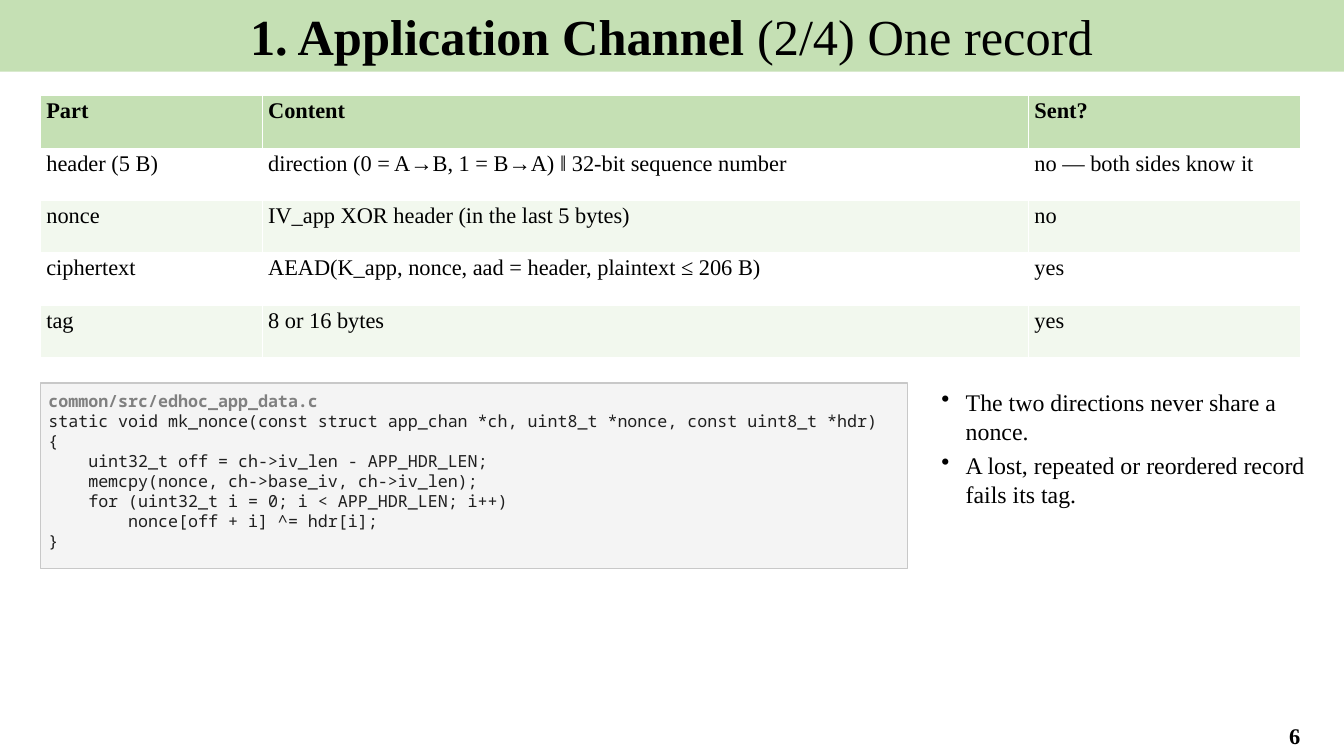
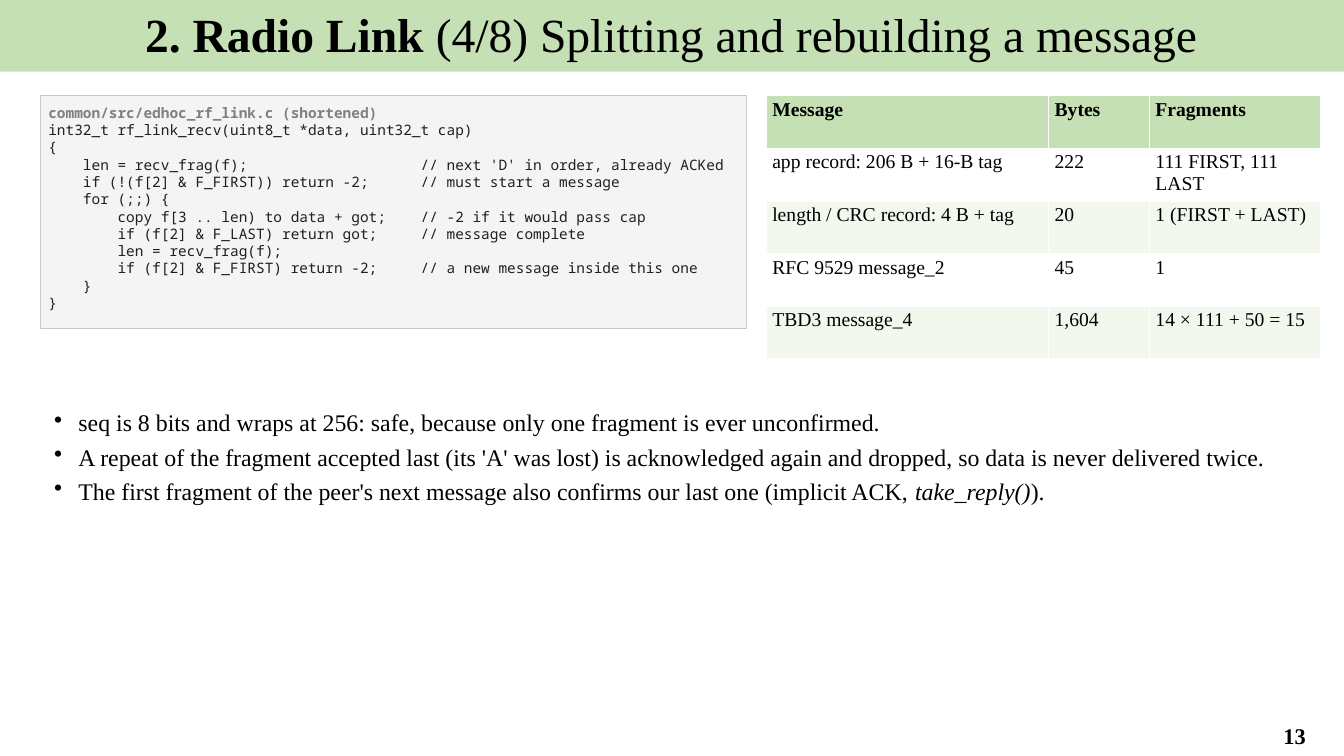
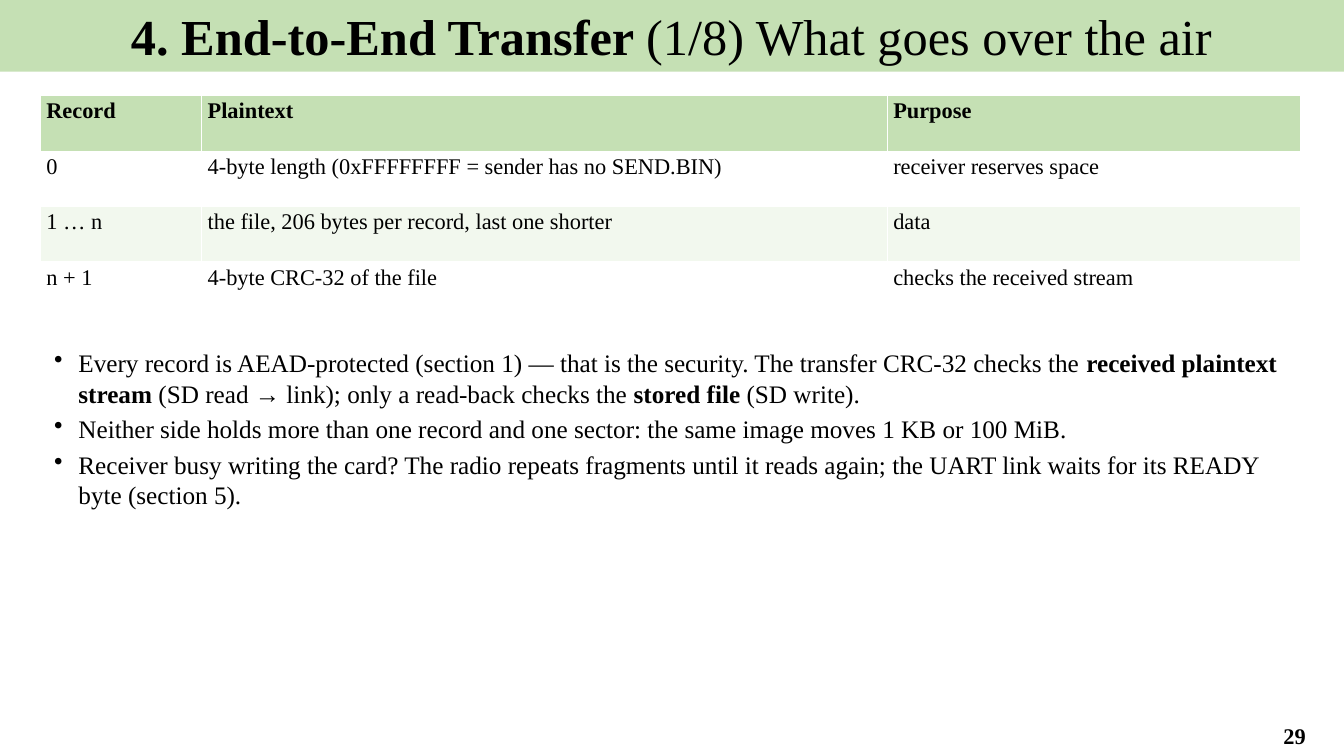
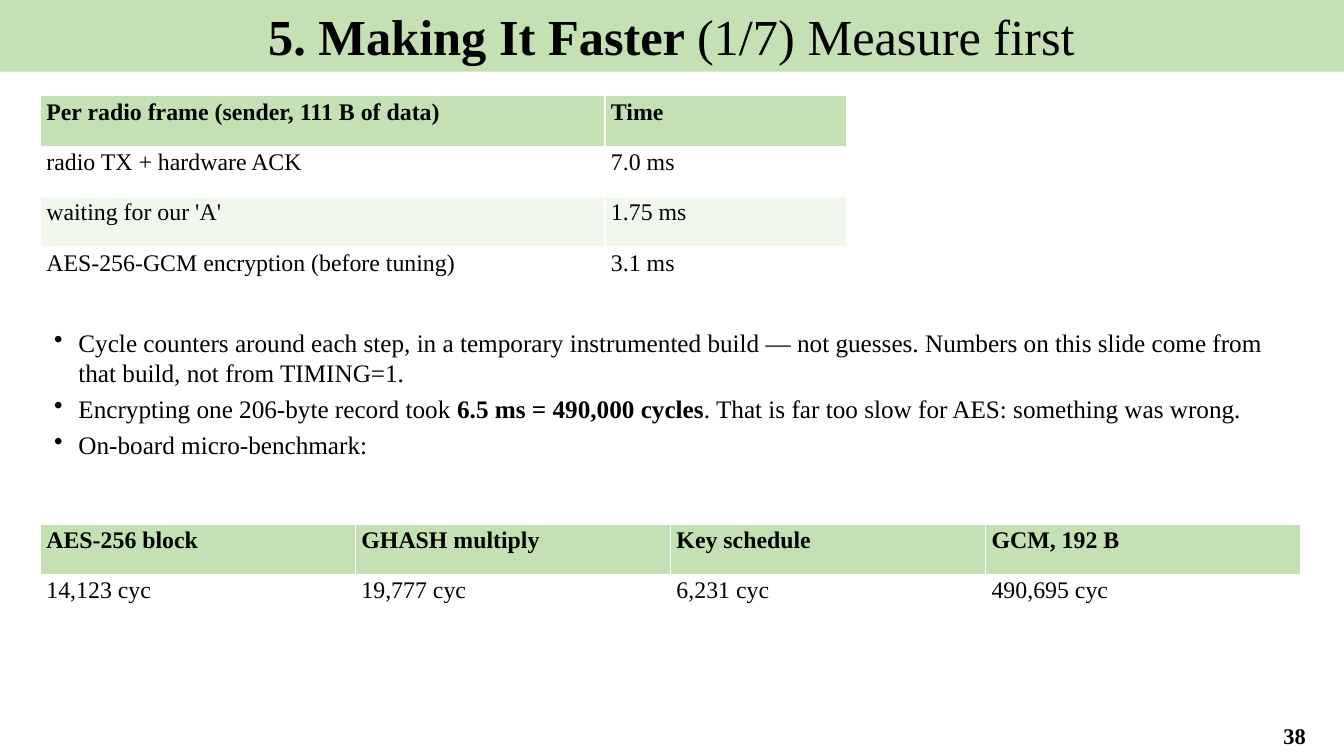
from pptx import Presentation
from pptx.dml.color import RGBColor
from pptx.enum.shapes import MSO_SHAPE
from pptx.enum.text import MSO_ANCHOR, MSO_AUTO_SIZE, PP_ALIGN
from pptx.oxml.ns import qn
from pptx.util import Emu, Pt
from lxml.etree import SubElement

SERIF = "Times New Roman"
MONO = "Noto Sans Mono"
BLACK = "000000"
WHITE = "FFFFFF"
GREEN = "C5E0B4"
PALE_GREEN = "F2F8EE"
CODE_FILL = "F4F4F4"
CODE_LINE = "C8C8C8"
CODE_TEXT = "1F1F1F"
CODE_NAME = "808080"

LEFT = 40
TOP = 95
WIDTH = 1250


def px(value):
    return Emu(round(value * 9144))


def color(value):
    return RGBColor.from_string(value)


def paint(item, value):
    item.fill.solid()
    item.fill.fore_color.rgb = color(value)


def style_font(font, size, bold=False, name=SERIF, value=BLACK):
    font.name = name
    font.size = Pt(size)
    font.bold = bold
    font.color.rgb = color(value)


def set_margins(item, side, end):
    item.margin_left = item.margin_right = px(side)
    item.margin_top = item.margin_bottom = px(end)


def add_spans(para, spans, size):
    for text, style in spans:
        span = para.add_run()
        span.text = text
        style_font(span.font, size, style == "bold")
        if style == "italic":
            span.font.italic = True


def add_text_box(page, left, top, width, height):
    box = page.shapes.add_textbox(px(left), px(top), px(width), px(height))
    frame = box.text_frame
    frame.word_wrap = True
    set_margins(frame, 10, 5)
    return frame


def add_page(deck, section, topic, number, size=36):
    page = deck.slides.add_slide(deck.slide_layouts[5])
    title = page.shapes.title
    title.left, title.top, title.width, title.height = px(-1), px(0), px(1334), px(71)
    paint(title, GREEN)
    frame = title.text_frame
    frame.word_wrap = True
    frame.auto_size = MSO_AUTO_SIZE.NONE
    frame.vertical_anchor = MSO_ANCHOR.TOP
    set_margins(frame, 10, 5)
    para = frame.paragraphs[0]
    para.alignment = PP_ALIGN.CENTER
    add_spans(para, [(section + " ", "bold"), (topic, "")], size)

    frame = add_text_box(page, 1235, 710, 98, 39)
    frame.vertical_anchor = MSO_ANCHOR.MIDDLE
    para = frame.paragraphs[0]
    para.alignment = PP_ALIGN.CENTER
    add_spans(para, [(str(number), "bold")], 16)
    return page


def add_grid(page, left, top, widths, row_height, size, rows):
    table = page.shapes.add_table(
        len(rows), len(widths), px(left), px(top), px(sum(widths)), px(row_height * len(rows))
    ).table
    for column, width in zip(table.columns, widths):
        column.width = px(width)
    for row_index, texts in enumerate(rows):
        table.rows[row_index].height = px(row_height)
        header = row_index == 0
        fill = GREEN if header else (PALE_GREEN, WHITE)[row_index % 2]
        for column_index, text in enumerate(texts):
            cell = table.cell(row_index, column_index)
            paint(cell, fill)
            set_margins(cell, 6, 3)
            cell.text = text
            style_font(cell.text_frame.paragraphs[0].runs[0].font, size, header)


def add_code(page, top, width, height, size, name, code):
    box = page.shapes.add_shape(MSO_SHAPE.RECTANGLE, px(LEFT), px(top), px(width), px(height))
    box.shadow.inherit = False
    paint(box, CODE_FILL)
    box.line.color.rgb = color(CODE_LINE)
    box.line.width = Pt(0.75)
    frame = box.text_frame
    frame.word_wrap = False
    frame.vertical_anchor = MSO_ANCHOR.TOP
    set_margins(frame, 8, 8)
    frame.text = name + "\n" + code
    for index, para in enumerate(frame.paragraphs):
        para.alignment = PP_ALIGN.LEFT
        first = index == 0
        for span in para.runs:
            style_font(span.font, size, first, MONO, CODE_NAME if first else CODE_TEXT)


def add_bullets(page, left, top, width, height, size, items):
    frame = add_text_box(page, left, top, width, height)
    for index, spans in enumerate(items):
        para = frame.paragraphs[0] if index == 0 else frame.add_paragraph()
        properties = para._p.get_or_add_pPr()
        properties.set("marL", str(px(28)))
        properties.set("indent", str(px(-24)))
        SubElement(properties, qn("a:buChar")).set("char", "•")
        para.space_after = Pt(4)
        add_spans(para, spans, size)


NONCE_CODE = """static void mk_nonce(const struct app_chan *ch, uint8_t *nonce, const uint8_t *hdr)
{
    uint32_t off = ch->iv_len - APP_HDR_LEN;
    memcpy(nonce, ch->base_iv, ch->iv_len);
    for (uint32_t i = 0; i < APP_HDR_LEN; i++)
        nonce[off + i] ^= hdr[i];
}"""

RECEIVE_CODE = """int32_t rf_link_recv(uint8_t *data, uint32_t cap)
{
    len = recv_frag(f);                    // next 'D' in order, already ACKed
    if (!(f[2] & F_FIRST)) return -2;      // must start a message
    for (;;) {
        copy f[3 .. len) to data + got;    // -2 if it would pass cap
        if (f[2] & F_LAST) return got;     // message complete
        len = recv_frag(f);
        if (f[2] & F_FIRST) return -2;     // a new message inside this one
    }
}"""


def build_record_page(deck):
    page = add_page(deck, "1. Application Channel", "(2/4) One record", 6)
    add_grid(page, LEFT, TOP, [220, 760, 270], 52, 16, [
        ["Part", "Content", "Sent?"],
        ["header (5 B)", "direction (0 = A→B, 1 = B→A) ‖ 32-bit sequence number",
         "no — both sides know it"],
        ["nonce", "IV_app XOR header (in the last 5 bytes)", "no"],
        ["ciphertext", "AEAD(K_app, nonce, aad = header, plaintext ≤ 206 B)", "yes"],
        ["tag", "8 or 16 bytes", "yes"],
    ])
    add_code(page, 380, 860, 184, 11.9, "common/src/edhoc_app_data.c", NONCE_CODE)
    add_bullets(page, 920, 380, 390, 300, 17, [
        [("The two directions never share a nonce.", "")],
        [("A lost, repeated or reordered record fails its tag.", "")],
    ])


def build_fragment_page(deck):
    page = add_page(deck, "2. Radio Link", "(4/8) Splitting and rebuilding a message", 13, 34)
    add_code(page, TOP, 700, 231, 10.3, "common/src/edhoc_rf_link.c (shortened)", RECEIVE_CODE)
    add_grid(page, 760, TOP, [280, 100, 170], 52, 14, [
        ["Message", "Bytes", "Fragments"],
        ["app record: 206 B + 16-B tag", "222", "111 FIRST, 111 LAST"],
        ["length / CRC record: 4 B + tag", "20", "1 (FIRST + LAST)"],
        ["RFC 9529 message_2", "45", "1"],
        ["TBD3 message_4", "1,604", "14 × 111 + 50 = 15"],
    ])
    add_bullets(page, LEFT, 400, WIDTH, 240, 17, [
        [("seq is 8 bits and wraps at 256: safe, because only one fragment is ever unconfirmed.", "")],
        [("A repeat of the fragment accepted last (its 'A' was lost) is acknowledged again "
          "and dropped, so data is never delivered twice.", "")],
        [("The first fragment of the peer's next message also confirms our last one (implicit ACK, ", ""),
         ("take_reply()", "italic"), (").", "")],
    ])


def build_transfer_page(deck):
    page = add_page(deck, "4. End-to-End Transfer", "(1/8) What goes over the air", 29)
    add_grid(page, LEFT, TOP, [160, 680, 410], 55, 16, [
        ["Record", "Plaintext", "Purpose"],
        ["0", "4-byte length (0xFFFFFFFF = sender has no SEND.BIN)", "receiver reserves space"],
        ["1 … n", "the file, 206 bytes per record, last one shorter", "data"],
        ["n + 1", "4-byte CRC-32 of the file", "checks the received stream"],
    ])
    add_bullets(page, LEFT, 340, WIDTH, 330, 18, [
        [("Every record is AEAD-protected (section 1) — that is the security. "
          "The transfer CRC-32 checks the ", ""),
         ("received plaintext stream", "bold"),
         (" (SD read → link); only a read-back checks the ", ""),
         ("stored file", "bold"), (" (SD write).", "")],
        [("Neither side holds more than one record and one sector: "
          "the same image moves 1 KB or 100 MiB.", "")],
        [("Receiver busy writing the card? The radio repeats fragments until it reads again; "
          "the UART link waits for its READY byte (section 5).", "")],
    ])


def build_measure_page(deck):
    page = add_page(deck, "5. Making It Faster", "(1/7) Measure first", 38)
    add_grid(page, LEFT, TOP, [560, 240], 50, 17, [
        ["Per radio frame (sender, 111 B of data)", "Time"],
        ["radio TX + hardware ACK", "7.0 ms"],
        ["waiting for our 'A'", "1.75 ms"],
        ["AES-256-GCM encryption (before tuning)", "3.1 ms"],
    ])
    add_bullets(page, LEFT, 320, WIDTH, 190, 18, [
        [("Cycle counters around each step, in a temporary instrumented build — not guesses. "
          "Numbers on this slide come from that build, not from TIMING=1.", "")],
        [("Encrypting one 206-byte record took ", ""), ("6.5 ms = 490,000 cycles", "bold"),
         (". That is far too slow for AES: something was wrong.", "")],
        [("On-board micro-benchmark:", "")],
    ])
    add_grid(page, LEFT, 520, [WIDTH / 4] * 4, 50, 17, [
        ["AES-256 block", "GHASH multiply", "Key schedule", "GCM, 192 B"],
        ["14,123 cyc", "19,777 cyc", "6,231 cyc", "490,695 cyc"],
    ])


def main():
    deck = Presentation()
    deck.slide_width = px(1333)
    deck.slide_height = px(750)
    build_record_page(deck)
    build_fragment_page(deck)
    build_transfer_page(deck)
    build_measure_page(deck)
    deck.save("out.pptx")


if __name__ == "__main__":
    main()
